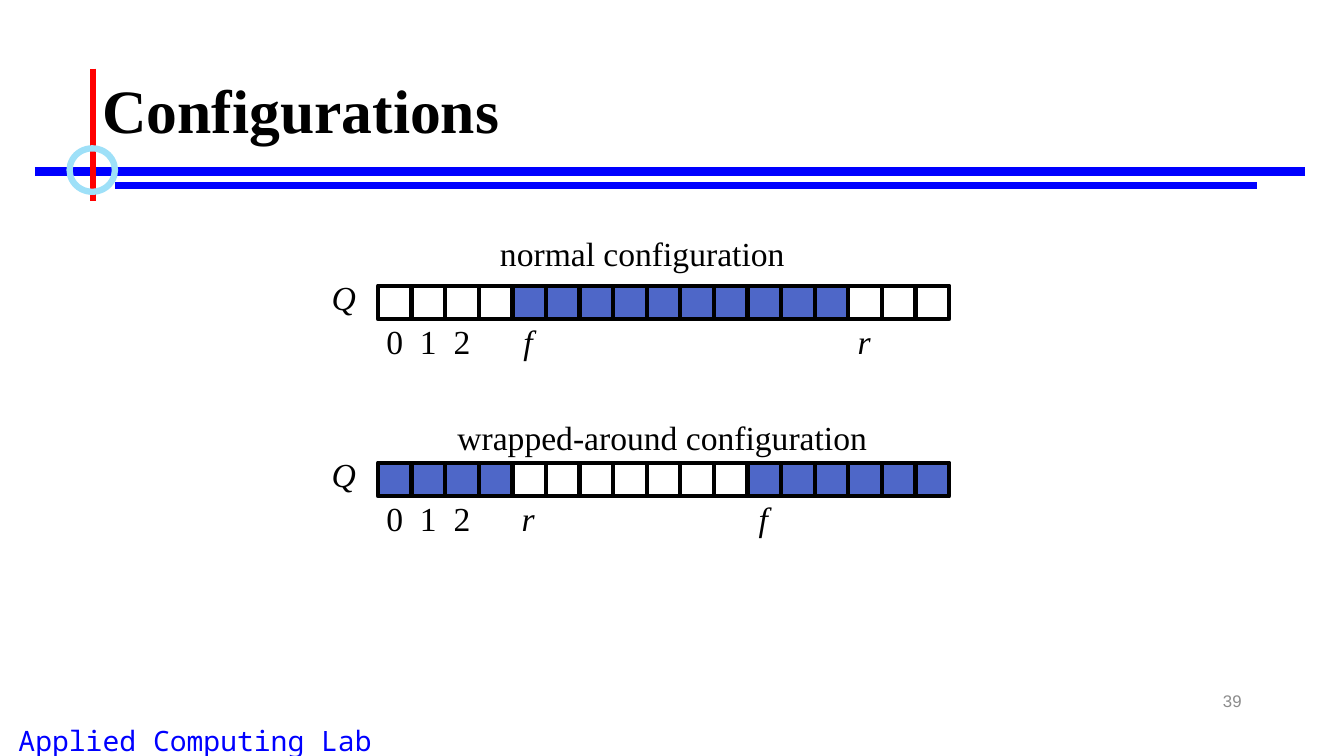
from lxml.etree import SubElement
from pptx import Presentation
from pptx.dml.color import RGBColor
from pptx.enum.shapes import MSO_CONNECTOR, MSO_SHAPE
from pptx.enum.text import MSO_ANCHOR, PP_ALIGN
from pptx.oxml.ns import qn
from pptx.util import Pt

CELL_COUNT = 17
CELL_SIZE = 24
ARRAY_LEFT = 270


def color(hex_string):
    return RGBColor.from_string(hex_string)


def write_text(frame, text, size=24, font="Times New Roman", fill="000000",
               bold=False, italic=False, align=PP_ALIGN.LEFT, spacing=1.0):
    paragraph = frame.paragraphs[0]
    paragraph.alignment = align
    paragraph.line_spacing = spacing
    run = paragraph.add_run()
    run.text = text
    run.font.size = Pt(size)
    run.font.name = font
    run.font.color.rgb = color(fill)
    run.font.bold = bold
    run.font.italic = italic


class SlideBuilder:
    """Holds the style and the slide (or group) that receives new shapes."""
    black, white, blue = "000000", "FFFFFF", "0000FF"
    red, sky, occupied = "FF0000", "9EE0F8", "4E67C8"

    def __init__(self, slide):
        self.slide = slide
        self.shapes = slide.shapes

    def start_group(self):
        self.shapes = self.slide.shapes.add_group_shape().shapes

    def text(self, text, left, top, width, height, inset=True, wrap=True,
             anchor=MSO_ANCHOR.TOP, **text_format):
        shape = self.shapes.add_textbox(Pt(left), Pt(top), Pt(width), Pt(height))
        frame = shape.text_frame
        frame.word_wrap = wrap
        frame.vertical_anchor = anchor
        if not inset:
            frame.margin_left = frame.margin_right = 0
            frame.margin_top = frame.margin_bottom = 0
        write_text(frame, text, **text_format)

    def line(self, start, end, line_color, width):
        connector = self.shapes.add_connector(
            MSO_CONNECTOR.STRAIGHT, *map(Pt, start + end))
        connector.line.color.rgb = color(line_color)
        connector.line.width = Pt(width)
        SubElement(connector._element.spPr, qn("a:effectLst"))

    def shape(self, kind, left, top, width, height, line_color, line_width,
              fill=None):
        shape = self.shapes.add_shape(kind, Pt(left), Pt(top), Pt(width), Pt(height))
        shape.shadow.inherit = False
        shape.line.color.rgb = color(line_color)
        shape.line.width = Pt(line_width)
        if fill:
            shape.fill.solid()
            shape.fill.fore_color.rgb = color(fill)
        else:
            shape.fill.background()

    def queue(self, caption, caption_box, top, front, rear):
        """Circular array whose cells from front up to rear are occupied."""
        self.start_group()
        self.text("Q", 234, top - 6, 23, 29, inset=False, italic=True,
                  align=PP_ALIGN.CENTER)

        # Index labels
        label_top = top + CELL_SIZE + 1
        for index in range(3):
            self.text(str(index), ARRAY_LEFT + index * CELL_SIZE + 6, label_top,
                      12, 29, inset=False, wrap=False)
        for label, index in (("f", front), ("r", rear)):
            self.text(label, ARRAY_LEFT + index * CELL_SIZE, label_top, 22.5, 29,
                      inset=False, italic=True, align=PP_ALIGN.CENTER)

        # Cells
        size = (rear - front) % CELL_COUNT
        for index in range(CELL_COUNT):
            is_occupied = (index - front) % CELL_COUNT < size
            self.shape(MSO_SHAPE.RECTANGLE, ARRAY_LEFT + index * CELL_SIZE, top,
                       CELL_SIZE, CELL_SIZE, self.black, 3,
                       fill=self.occupied if is_occupied else self.white)

        self.text(caption, *caption_box, wrap=False, align=PP_ALIGN.CENTER)


presentation = Presentation()
presentation.slide_width = Pt(960)
presentation.slide_height = Pt(540)
builder = SlideBuilder(presentation.slides.add_slide(presentation.slide_layouts[6]))

# Footer and title decoration
builder.text("Applied Computing Lab", -42, 513.5, 363, 31, size=20,
             font="Noto Sans Mono", fill=builder.blue, align=PP_ALIGN.CENTER)
builder.line((25, 122.5), (932.5, 122.5), builder.blue, 6)
builder.line((82, 132.5), (898, 132.5), builder.blue, 4.5)
builder.line((66.5, 49), (66.5, 143.5), builder.red, 4.5)
builder.shape(MSO_SHAPE.OVAL, 49.7, 106, 32.4, 31, builder.sky, 4.5)

# Page number and title
builder.text("39", 678, 486, 216, 29, size=12, font="Arial", fill="8C8C8C",
             anchor=MSO_ANCHOR.MIDDLE, align=PP_ALIGN.RIGHT)
builder.text("Configurations", 66, 29, 828, 104, size=44, bold=True,
             anchor=MSO_ANCHOR.MIDDLE, spacing=0.9)

# Queue configurations
builder.queue("normal configuration", (350, 163, 217.5, 36), 204, front=4, rear=14)
builder.queue("wrapped-around configuration", (319.5, 294.5, 307, 36), 330.5,
              front=11, rear=4)

presentation.save("out.pptx")
